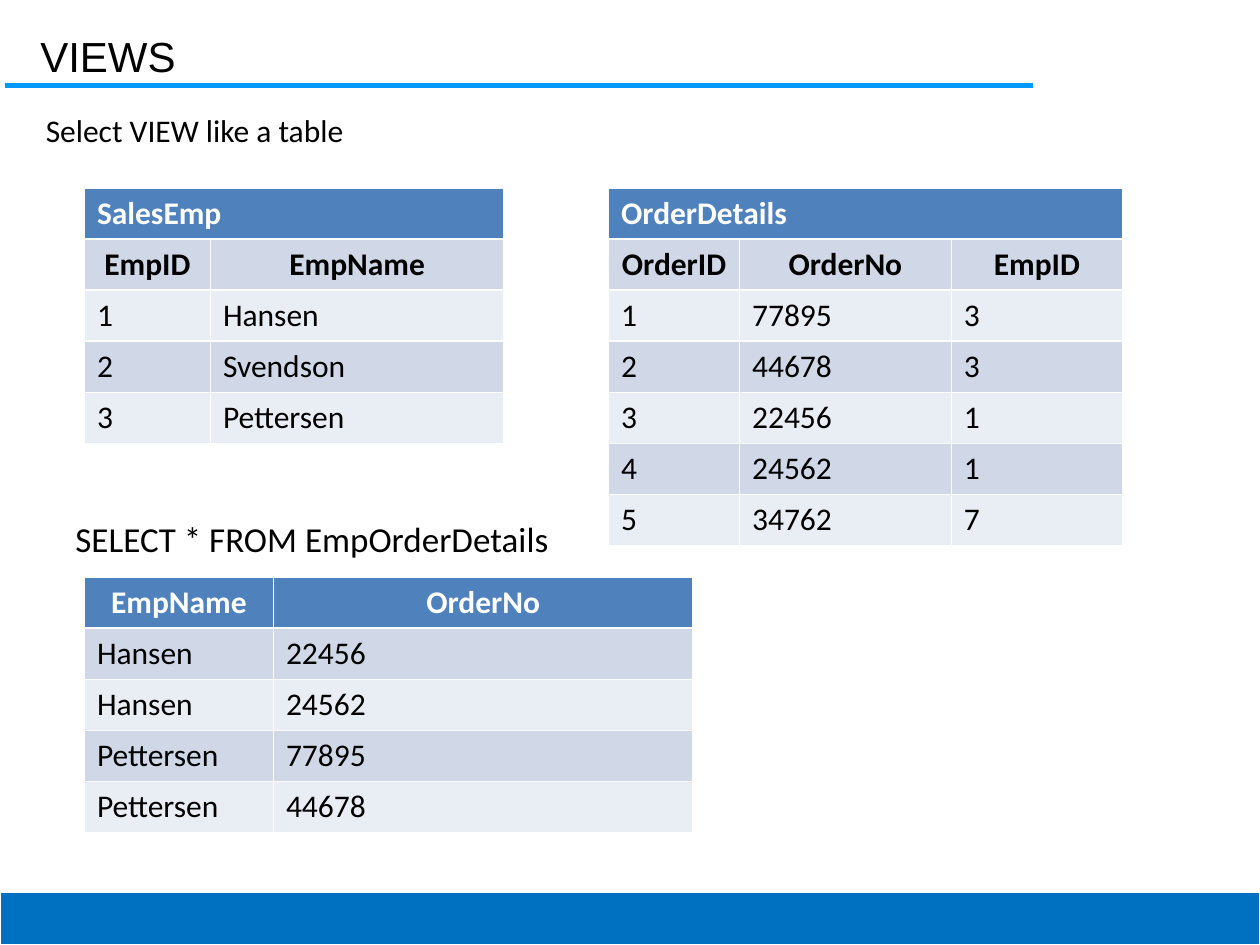
from pptx import Presentation
from pptx.dml.color import RGBColor
from pptx.enum.shapes import MSO_CONNECTOR, MSO_SHAPE
from pptx.enum.text import MSO_ANCHOR, MSO_AUTO_SIZE, PP_ALIGN
from pptx.oxml.ns import qn
from pptx.util import Inches, Pt
from lxml import etree

BLACK = RGBColor(0x00, 0x00, 0x00)
WHITE = RGBColor(0xFF, 0xFF, 0xFF)
RULE_BLUE = RGBColor(0x00, 0x99, 0xFF)
FOOTER_BLUE = RGBColor(0x00, 0x70, 0xC0)
HEADER_BLUE = RGBColor(0x4F, 0x81, 0xBD)
BANDS = [RGBColor(0xE9, 0xED, 0xF4), RGBColor(0xD0, 0xD8, 0xE8)]
ROW_HEIGHT = 0.406


def write(tf, text, size=18, font="Calibri", color=BLACK, bold=False, align=PP_ALIGN.LEFT):
    p = tf.paragraphs[0]
    p.alignment = align
    r = p.add_run()
    r.text = text
    r.font.size = Pt(size)
    r.font.name = font
    r.font.bold = bold
    r.font.color.rgb = color
    return p


prs = Presentation()
prs.slide_width, prs.slide_height = Inches(10), Inches(7.5)
s = prs.slides.add_slide(prs.slide_layouts[5])

# Title and the rule under it
title = s.shapes.title
title.left, title.top = Inches(0.23), Inches(0.17)
title.width, title.height = Inches(7.97), Inches(0.4)
tf = title.text_frame
tf.auto_size = MSO_AUTO_SIZE.NONE
tf.vertical_anchor = MSO_ANCHOR.TOP
tf.margin_left = tf.margin_right = Inches(0.09)
tf.margin_top, tf.margin_bottom = Inches(0.07), Inches(0.04)
write(tf, "VIEWS", size=24, font="Arial")

rule = s.shapes.add_connector(MSO_CONNECTOR.STRAIGHT, Inches(0.04), Inches(0.68),
                              Inches(8.2), Inches(0.68))
rule.line.color.rgb = RULE_BLUE
rule.line.width = Pt(2.89)
etree.SubElement(rule._element.spPr, qn("a:effectLst"))

# Footer band
footer = s.shapes.add_shape(MSO_SHAPE.RECTANGLE, 0, Inches(7.08), Inches(10), Inches(0.42))
footer.shadow.inherit = False
footer.fill.solid()
footer.fill.fore_color.rgb = FOOTER_BLUE
footer.line.color.rgb = WHITE
footer.line.width = Pt(0.75)

# Subtitle
sp = s.shapes.add_textbox(Inches(0.25), Inches(0.83), Inches(2.59), Inches(0.4))
sp.text_frame.word_wrap = False
sp.text_frame.auto_size = MSO_AUTO_SIZE.SHAPE_TO_FIT_TEXT
write(sp.text_frame, "Select VIEW like a table", align=PP_ALIGN.CENTER)

# Query, with a hanging indent
sp = s.shapes.add_textbox(Inches(0.5), Inches(4.06), Inches(9.17), Inches(0.44))
sp.text_frame.word_wrap = True
sp.text_frame.auto_size = MSO_AUTO_SIZE.SHAPE_TO_FIT_TEXT
p = write(sp.text_frame, "SELECT * FROM EmpOrderDetails", size=20)
pPr = p._p.get_or_add_pPr()
pPr.set("marL", str(Inches(0.5)))
pPr.set("indent", str(-Inches(0.5)))

# Tables: left, top, column widths, rows; a one-cell first row spans the table
tables = [
    (0.67, 1.49, [1, 2.33], [
        ["SalesEmp"],
        ["EmpID", "EmpName"],
        ["1", "Hansen"],
        ["2", "Svendson"],
        ["3", "Pettersen"]]),
    (4.83, 1.49, [1.04, 1.68, 1.36], [
        ["OrderDetails"],
        ["OrderID", "OrderNo", "EmpID"],
        ["1", "77895", "3"],
        ["2", "44678", "3"],
        ["3", "22456", "1"],
        ["4", "24562", "1"],
        ["5", "34762", "7"]]),
    (0.67, 4.58, [1.5, 3.33], [
        ["EmpName", "OrderNo"],
        ["Hansen", "22456"],
        ["Hansen", "24562"],
        ["Pettersen", "77895"],
        ["Pettersen", "44678"]]),
]
for left, top, widths, rows in tables:
    table = s.shapes.add_table(len(rows), len(widths), Inches(left), Inches(top),
                               Inches(sum(widths)), Inches(ROW_HEIGHT * len(rows))).table
    for column, width in zip(table.columns, widths):
        column.width = Inches(width)
    spanned = len(rows[0]) == 1
    if spanned:
        table.cell(0, 0).merge(table.cell(0, len(widths) - 1))
    heading_row = 1 if spanned else 0
    for i, row in enumerate(rows):
        table.rows[i].height = Inches(ROW_HEIGHT)
        for j, text in enumerate(row):
            cell = table.cell(i, j)
            cell.fill.solid()
            cell.fill.fore_color.rgb = BANDS[i % 2] if i else HEADER_BLUE
            write(cell.text_frame, text, color=BLACK if i else WHITE, bold=i <= heading_row,
                  align=PP_ALIGN.CENTER if i == heading_row else PP_ALIGN.LEFT)

prs.save("out.pptx")
